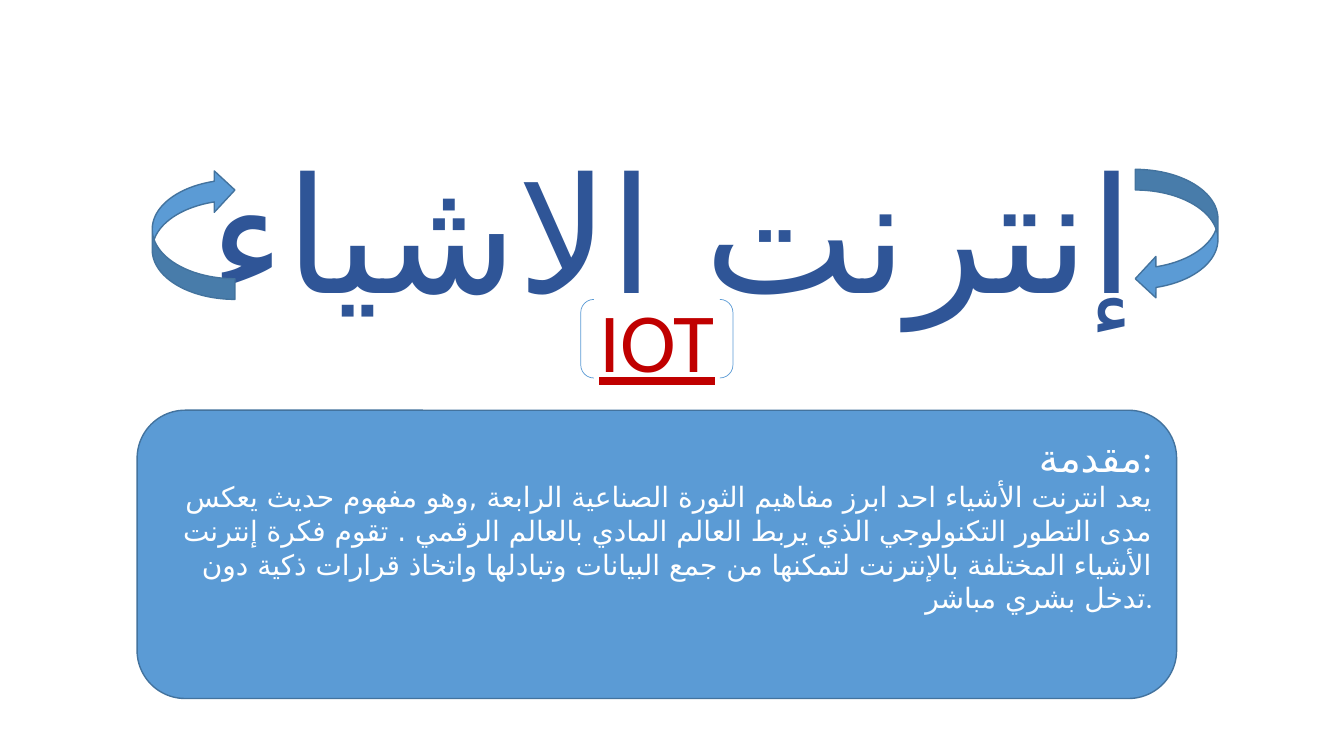
from lxml.etree import SubElement
from pptx import Presentation
from pptx.dml.color import RGBColor
from pptx.enum.shapes import MSO_SHAPE as SHAPE
from pptx.enum.text import MSO_ANCHOR as ANCHOR, MSO_AUTO_SIZE as AUTO_SIZE, PP_ALIGN as ALIGN
from pptx.oxml.ns import qn
from pptx.util import Inches, Pt

BLUE = RGBColor(0x5B, 0x9B, 0xD5)
EDGE = RGBColor(0x43, 0x73, 0x9E)
NAVY = RGBColor(0x2F, 0x55, 0x97)
RED = RGBColor(0xC0, 0x00, 0x00)
WHITE = RGBColor(0xFF, 0xFF, 0xFF)
ARABIC_FONT = "DejaVu Sans"


def add_blue_shape(kind, left, top, width, height):
    shape = slide.shapes.add_shape(
        kind, Inches(left), Inches(top), Inches(width), Inches(height))
    shape.shadow.inherit = False
    shape.fill.solid()
    shape.fill.fore_color.rgb = BLUE
    shape.line.color.rgb = EDGE
    shape.line.width = Pt(1)
    return shape


def format_paragraph(paragraph, align, font_name, size, color):
    paragraph.alignment = align
    run = paragraph.runs[0]
    run.font.name = font_name
    run.font.size = Pt(size)
    run.font.color.rgb = color
    # Arabic letters take the complex-script font
    SubElement(run._r.get_or_add_rPr(), qn("a:cs")).set("typeface", ARABIC_FONT)
    return run.font


prs = Presentation()
prs.slide_width = Inches(13.33)
prs.slide_height = Inches(7.5)
slide = prs.slides.add_slide(prs.slide_layouts[5])

# Title
title = slide.shapes.title
title.left, title.top = Inches(1.67), Inches(0.7)
title.width, title.height = Inches(10), Inches(2.61)
heading = title.text_frame
heading.text = "إنترنت الاشياء"
heading.auto_size = AUTO_SIZE.NONE
heading.vertical_anchor = ANCHOR.BOTTOM
heading.paragraphs[0].line_spacing = 0.9
format_paragraph(heading.paragraphs[0], ALIGN.CENTER, "DejaVu Sans Mono", 115, NAVY)

# Introduction panel, with its text held in the upper part
introduction = add_blue_shape(SHAPE.ROUNDED_RECTANGLE, 1.36, 4.07, 10.31, 2.86).text_frame
introduction.word_wrap = True
introduction.vertical_anchor = ANCHOR.MIDDLE
introduction.margin_bottom = Inches(0.66)
introduction.text = "مقدمة:"
format_paragraph(introduction.paragraphs[0], ALIGN.RIGHT, "Calibri", 28, WHITE)
body = introduction.add_paragraph()
body.text = (
    "يعد انترنت الأشياء احد ابرز مفاهيم الثورة الصناعية الرابعة ,وهو مفهوم حديث يعكس "
    "مدى التطور التكنولوجي الذي يربط العالم المادي بالعالم الرقمي . تقوم فكرة إنترنت "
    "الأشياء المختلفة بالإنترنت لتمكنها من جمع البيانات وتبادلها واتخاذ قرارات ذكية دون "
    "تدخل بشري مباشر.")
format_paragraph(body, ALIGN.RIGHT, "Calibri", 20, WHITE)

# Curved arrows on both sides of the title
for left, rotation in ((11.26, 0), (1.51, 180)):
    arrow = add_blue_shape(SHAPE.CURVED_LEFT_ARROW, left, 1.68, 0.82, 1.29)
    arrow.rotation = rotation

# Abbreviation in brackets
brackets = add_blue_shape(SHAPE.DOUBLE_BRACKET, 5.76, 2.97, 1.51, 0.78)
brackets.fill.background()
brackets.line.color.rgb = BLUE
brackets.line.width = Pt(0.5)
abbreviation = brackets.text_frame
abbreviation.word_wrap = True
abbreviation.vertical_anchor = ANCHOR.MIDDLE
abbreviation.text = "IOT"
format_paragraph(abbreviation.paragraphs[0], ALIGN.CENTER, "Calibri", 60, RED).underline = True

prs.save("out.pptx")
